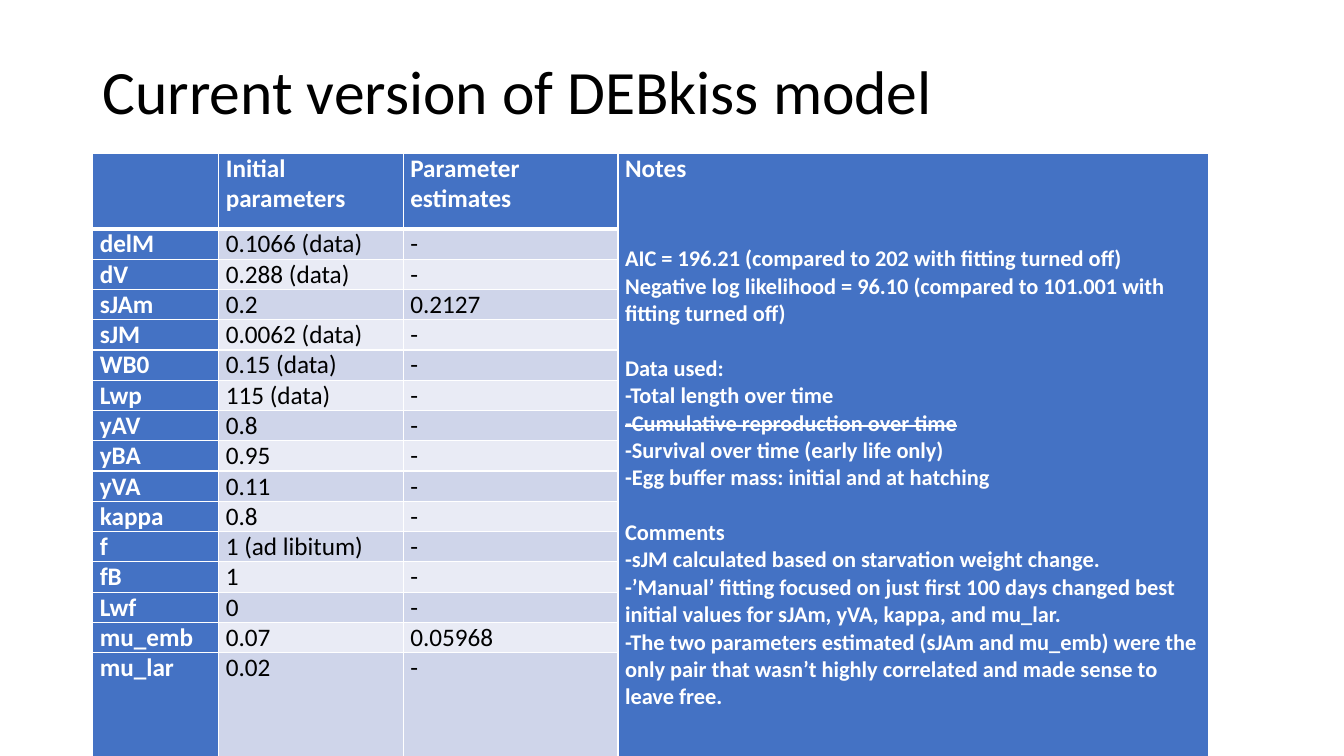
import pptx
import pptx.util
import pptx.dml.color
import pptx.enum.text
import pptx.oxml
import pptx.oxml.ns

PX = 9144  # EMU, 100 px to the inch
BLUE = pptx.dml.color.RGBColor(0x44, 0x72, 0xC4)
BAND_DARK = pptx.dml.color.RGBColor(0xCF, 0xD5, 0xEA)
BAND_LIGHT = pptx.dml.color.RGBColor(0xE9, 0xEB, 0xF5)
WHITE = pptx.dml.color.RGBColor(0xFF, 0xFF, 0xFF)
BLACK = pptx.dml.color.RGBColor(0, 0, 0)

HEADINGS = ["", "Initial parameters", "Parameter estimates"]
PARAMETERS = [
    ("delM", "0.1066 (data)", "-"),
    ("dV", "0.288 (data)", "-"),
    ("sJAm", "0.2", "0.2127"),
    ("sJM", "0.0062 (data)", "-"),
    ("WB0", "0.15 (data)", "-"),
    ("Lwp", "115 (data)", "-"),
    ("yAV", "0.8", "-"),
    ("yBA", "0.95", "-"),
    ("yVA", "0.11", "-"),
    ("kappa", "0.8", "-"),
    ("f", "1 (ad libitum)", "-"),
    ("fB", "1", "-"),
    ("Lwf", "0", "-"),
    ("mu_emb", "0.07", "0.05968"),
    ("mu_lar", "0.02", "-"),
]
# Each group of notes: space above it in points, then its lines
NOTES = [
    (44, ["AIC = 196.21 (compared to 202 with fitting turned off)",
          "Negative log likelihood = 96.10 (compared to 101.001 with fitting turned off)"]),
    (19.5, ["Data used:",
            "-Total length over time",
            "-Cumulative reproduction over time",
            "-Survival over time (early life only)",
            "-Egg buffer mass: initial and at hatching"]),
    (19.5, ["Comments",
            "-sJM calculated based on starvation weight change.",
            "-’Manual’ fitting focused on just first 100 days changed best initial values "
            "for sJAm, yVA, kappa, and mu_lar.",
            "-The two parameters estimated (sJAm and mu_emb) were the only pair that "
            "wasn’t highly correlated and made sense to leave free."]),
]
DROPPED_DATA = "-Cumulative reproduction over time"
COLUMN_WIDTHS = [125, 183, 213, 586]
HEADER_HEIGHT, ROW_HEIGHT = 75, 25


def write(para, text, size=18, color=WHITE, bold=True, strike=False, before=0):
    para.space_before = pptx.util.Pt(before)
    para.font.size = pptx.util.Pt(size)
    if not text:
        return
    span = para.add_run()
    span.text = text
    span.font.name = "Calibri"
    span.font.size = pptx.util.Pt(size)
    span.font.bold = bold
    span.font.color.rgb = color
    if strike:
        span.font._element.set("strike", "sngStrike")


def style_cell(cell, fill, top=1, bottom=1):
    """Set fill, margins and white borders, with top and bottom widths in points."""
    cell.margin_left = cell.margin_right = 7 * PX
    cell.margin_top = cell.margin_bottom = 0
    cell.fill.solid()
    cell.fill.fore_color.rgb = fill
    properties = cell._tc.get_or_add_tcPr()
    for index, (side, width) in enumerate([("L", 1), ("R", 1), ("T", top), ("B", bottom)]):
        properties.insert(index, pptx.oxml.parse_xml(
            f'<a:ln{side} {pptx.oxml.ns.nsdecls("a")} w="{width * 12700}">'
            f'<a:solidFill><a:srgbClr val="{WHITE}"/></a:solidFill></a:ln{side}>'))


deck = pptx.Presentation()
deck.slide_width, deck.slide_height = 1333 * PX, 750 * PX
page = deck.slides.add_slide(deck.slide_layouts[6])

title = page.shapes.add_textbox(92 * PX, 52 * PX, 1150 * PX, 84 * PX).text_frame
title.word_wrap = True
title.vertical_anchor = pptx.enum.text.MSO_ANCHOR.MIDDLE
title.paragraphs[0].line_spacing = 0.9
write(title.paragraphs[0], "Current version of DEBkiss model", size=44, color=BLACK, bold=False)

row_count = len(PARAMETERS) + 1
table = page.shapes.add_table(
    row_count, len(COLUMN_WIDTHS), 92 * PX, 152 * PX, sum(COLUMN_WIDTHS) * PX,
    (HEADER_HEIGHT + len(PARAMETERS) * ROW_HEIGHT) * PX).table
table.first_col = True
for column, width in zip(table.columns, COLUMN_WIDTHS):
    column.width = width * PX
for index, row in enumerate(table.rows):
    row.height = (ROW_HEIGHT if index else HEADER_HEIGHT) * PX

for column, heading in enumerate(HEADINGS):
    cell = table.cell(0, column)
    style_cell(cell, BLUE, bottom=3)
    write(cell.text_frame.paragraphs[0], heading)

for row, values in enumerate(PARAMETERS, start=1):
    band = BAND_DARK if row % 2 else BAND_LIGHT
    for column, value in enumerate(values):
        is_name = column == 0
        cell = table.cell(row, column)
        style_cell(cell, BLUE if is_name else band, top=3 if row == 1 else 1)
        write(cell.text_frame.paragraphs[0], value,
              color=WHITE if is_name else BLACK, bold=is_name)

for row in range(row_count):
    style_cell(table.cell(row, 3), BLUE)
notes_cell = table.cell(0, 3)
notes_cell.merge(table.cell(row_count - 1, 3))
notes = notes_cell.text_frame
write(notes.paragraphs[0], "Notes")
for gap, lines in NOTES:
    for index, line in enumerate(lines):
        write(notes.add_paragraph(), line, size=16, strike=line == DROPPED_DATA,
              before=0 if index else gap)

deck.save("out.pptx")
